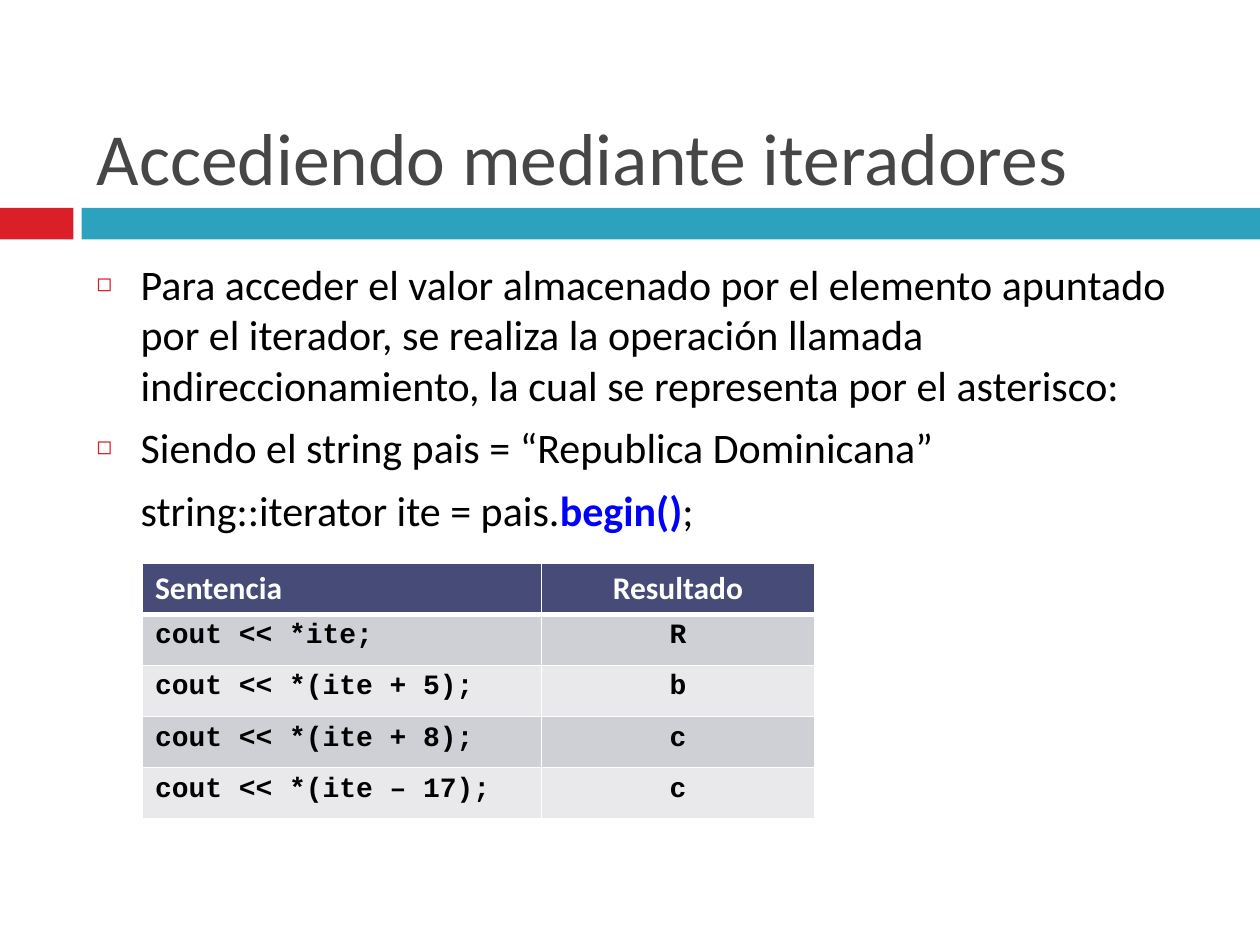
from lxml import etree
from pptx import Presentation
from pptx.dml.color import RGBColor
from pptx.enum import shapes, text
from pptx.oxml import ns
from pptx.util import Pt

COLORS = {
    "red": "DA1F28", "teal": "2DA2BF", "title": "464646", "ink": "000000",
    "code": "0000FF", "header": "474B78", "odd": "CFD0D6", "even": "E9E9EC",
    "white": "FFFFFF",
}
WIDTH, HEIGHT = 720, 540
BAR_TOP, BAR_HEIGHT = 118.8, 18
BARS = [("red", 0, 42), ("teal", 46.6, WIDTH - 46.6)]  # color, left, width

TITLE = "Accediendo mediante iteradores"
# Each paragraph: has a bullet, runs of (text, color, bold)
BODY = [
    (True, [("Para acceder el valor almacenado por el elemento apuntado por el "
             "iterador, se realiza la operación llamada indireccionamiento, la "
             "cual se representa por el asterisco:", "ink", False)]),
    (True, [("Siendo el string pais = “Republica Dominicana”", "ink", False)]),
    (False, [("string::iterator ite = pais.", "ink", False),
             ("begin()", "code", True), (";", "ink", False)]),
]
ROWS = [
    ("Sentencia", "Resultado"),
    ("cout << *ite;", "R"),
    ("cout << *(ite + 5);", "b"),
    ("cout << *(ite + 8);", "c"),
    ("cout << *(ite – 17);", "c"),
]
COLUMN_WIDTHS = [228, 156]
COLUMN_ALIGN = [text.PP_ALIGN.LEFT, text.PP_ALIGN.CENTER]
ROW_HEIGHT = 29.2
TABLE_LEFT, TABLE_TOP = 81.4, 321.8
INDENT = 25.2


def rgb(name):
    return RGBColor.from_string(COLORS[name])


def add_span(para, words, size, color, bold=False, face="Calibri"):
    span = para.add_run()
    span.text = words
    span.font.size, span.font.bold, span.font.name = Pt(size), bold, face
    span.font.color.rgb = rgb(color)


def place(box, left, top, width, height):
    box.left, box.top, box.width, box.height = map(Pt, (left, top, width, height))


def add_child(parent, tag, **attributes):
    return etree.SubElement(parent, ns.qn(tag), attributes)


def set_bullet(para, shown):
    """Give the paragraph a hanging indent with a square, or a plain indent."""
    props = para._p.get_or_add_pPr()
    props.set("marL", str(Pt(INDENT)))
    props.set("indent", str(-Pt(INDENT) if shown else 0))
    if shown:
        add_child(add_child(props, "a:buClr"), "a:srgbClr", val=COLORS["red"])
        add_child(props, "a:buSzPct", val="60000")
        add_child(props, "a:buChar", char="◻")
    else:
        add_child(props, "a:buNone")


def set_borders(cell, top, bottom):
    """Draw white cell borders; top and bottom are widths in points."""
    props = cell._tc.get_or_add_tcPr()
    for side, width in (("L", 1), ("R", 1), ("T", top), ("B", bottom)):
        line = add_child(props, "a:ln" + side, w=str(Pt(width)))
        add_child(add_child(line, "a:solidFill"), "a:srgbClr", val=COLORS["white"])


def add_bars(page):
    for color, left, width in BARS:
        bar = page.shapes.add_shape(shapes.MSO_SHAPE.RECTANGLE, Pt(left),
                                    Pt(BAR_TOP), Pt(width), Pt(BAR_HEIGHT))
        bar.shadow.inherit = False
        bar.fill.solid()
        bar.fill.fore_color.rgb = rgb(color)
        bar.line.fill.background()


def fill_title(box):
    place(box, 48, 12, 642, 106)
    frame = box.text_frame
    frame.auto_size = text.MSO_AUTO_SIZE.NONE
    frame.vertical_anchor = text.MSO_ANCHOR.BOTTOM
    para = frame.paragraphs[0]
    para.alignment = text.PP_ALIGN.LEFT
    add_span(para, TITLE, 42, "title")


def fill_body(box):
    place(box, 48, 144, 642, 342)
    frame = box.text_frame
    frame.auto_size = text.MSO_AUTO_SIZE.NONE
    for index, (bulleted, spans) in enumerate(BODY):
        para = frame.add_paragraph() if index else frame.paragraphs[0]
        set_bullet(para, bulleted)
        para.space_before = Pt(7 if index else 0)
        for words, color, bold in spans:
            add_span(para, words, 24, color, bold)


def add_results(page):
    table = page.shapes.add_table(
        len(ROWS), len(COLUMN_WIDTHS), Pt(TABLE_LEFT), Pt(TABLE_TOP),
        Pt(sum(COLUMN_WIDTHS)), Pt(ROW_HEIGHT * len(ROWS))).table
    for column, width in zip(table.columns, COLUMN_WIDTHS):
        column.width = Pt(width)
    for r, values in enumerate(ROWS):
        table.rows[r].height = Pt(ROW_HEIGHT)
        fill = "header" if r == 0 else ("odd" if r % 2 else "even")
        for c, words in enumerate(values):
            cell = table.cell(r, c)
            set_borders(cell, 3 if r == 1 else 1, 3 if r == 0 else 1)
            cell.fill.solid()
            cell.fill.fore_color.rgb = rgb(fill)
            para = cell.text_frame.paragraphs[0]
            para.alignment = COLUMN_ALIGN[c]
            if r == 0:
                add_span(para, words, 18, "white", True)
            else:
                add_span(para, words, 16, "ink", True, "Courier New")


def main():
    deck = Presentation()
    deck.slide_width, deck.slide_height = Pt(WIDTH), Pt(HEIGHT)
    page = deck.slides.add_slide(deck.slide_layouts[1])
    add_bars(page)
    fill_title(page.shapes.title)
    fill_body(page.placeholders[1])
    add_results(page)
    deck.save("out.pptx")


if __name__ == "__main__":
    main()
